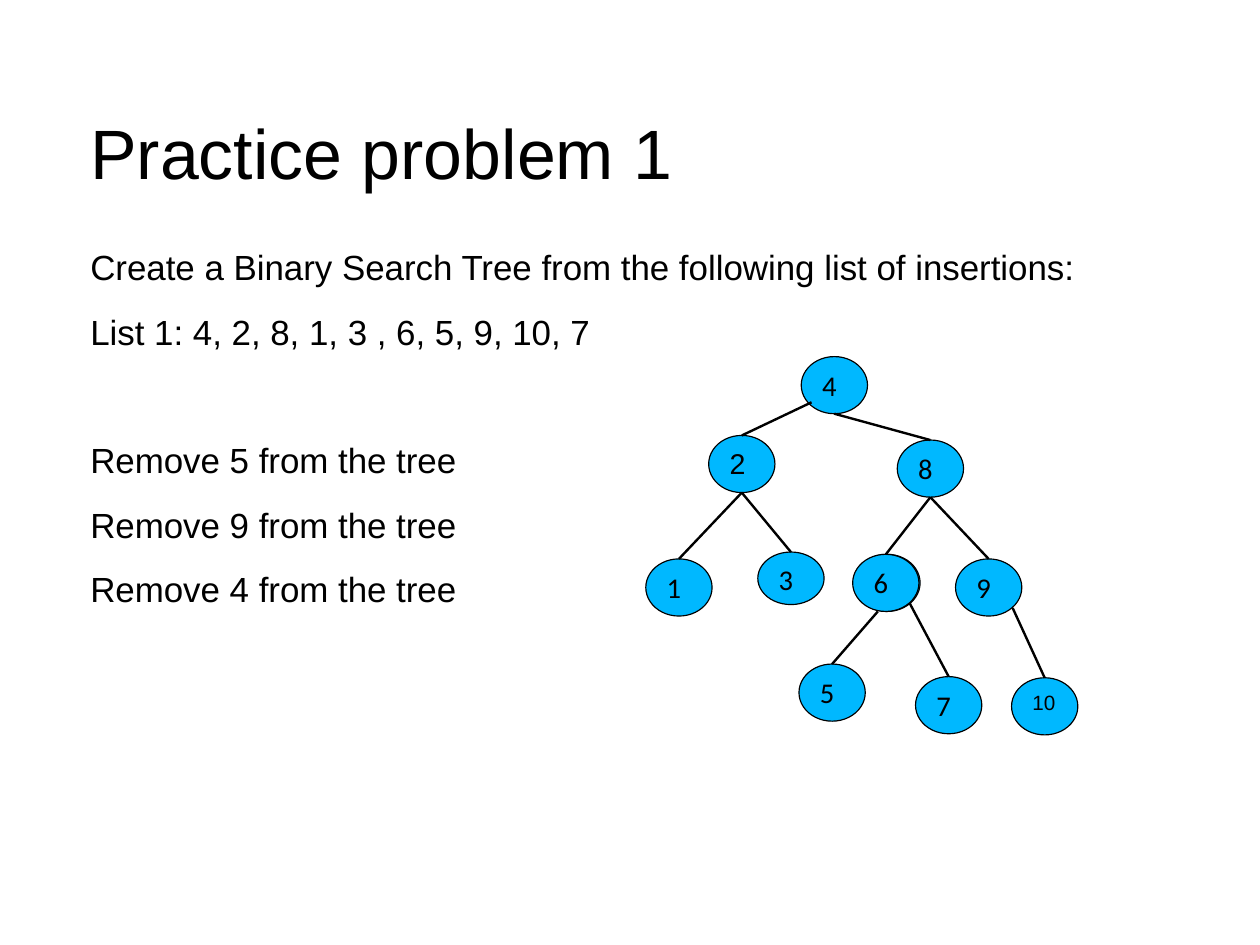
from lxml import etree
from pptx import Presentation
from pptx.dml.color import RGBColor
from pptx.enum.shapes import MSO_CONNECTOR, MSO_SHAPE
from pptx.enum.text import MSO_ANCHOR, PP_ALIGN
from pptx.oxml.ns import qn
from pptx.util import Inches, Pt

# Content
SLIDE_W, SLIDE_H = 28 / 2.54, 21 / 2.54  # 28 by 21 cm
TITLE = "Practice problem 1"
TASK = [  # text, space before in points
    ("Create a Binary Search Tree from the following list of insertions:", 0),
    ("List 1: 4, 2, 8, 1, 3 , 6, 5, 9, 10, 7", 0),
    ("Remove 5 from the tree", 40.6),
    ("Remove 9 from the tree", 0),
    ("Remove 4 from the tree", 0),
]
NODE_W, NODE_H = 0.58, 0.5
NODES = [  # value, left, top, height, font, size
    ("4", 7.01, 3.12, NODE_H, "Calibri", 18),
    ("9", 8.36, 4.89, NODE_H, "Calibri", 18),
    ("10", 8.85, 5.93, NODE_H, "Arial", 13),
    ("2", 6.2, 3.81, NODE_H, "Arial", 18),
    ("1", 5.65, 4.89, NODE_H, "Calibri", 18),
    ("3", 6.63, 4.83, 0.46, "Calibri", 18),
    ("6", 7.47, 4.85, NODE_H, "Calibri", 18),
    ("5", 6.99, 5.81, NODE_H, "Calibri", 18),
    ("8", 7.85, 3.85, NODE_H, "Calibri", 18),
    ("7", 8.01, 5.92, NODE_H, "Calibri", 18),
    ("6", 7.46, 4.85, NODE_H, "Calibri", 18),
]
# Where a branch leaves its parent, measured from the parent's centre
BOTTOM, LOWER_LEFT, LOWER_RIGHT = (0, 0.25), (-0.2, 0.15), (0.21, 0.18)
BRANCHES = [
    ("4", "8", BOTTOM), ("8", "9", BOTTOM), ("9", "10", LOWER_RIGHT),
    ("4", "2", LOWER_LEFT), ("2", "1", BOTTOM), ("2", "3", BOTTOM),
    ("8", "6", BOTTOM), ("6", "5", (-0.07, 0.25)), ("6", "7", LOWER_RIGHT),
]


def color(value):
    return RGBColor.from_string(value)


def style(paragraph, font, size):
    paragraph.alignment = PP_ALIGN.LEFT
    paragraph.font.name = font
    paragraph.font.size = Pt(size)
    paragraph.font.color.rgb = color("000000")


def set_frame(frame, top, anchor):
    frame.word_wrap = True
    frame.vertical_anchor = anchor
    frame.margin_left = frame.margin_right = frame.margin_bottom = 0
    frame.margin_top = Inches(top)


def add_node(slide, value, left, top, height, font, size):
    node = slide.shapes.add_shape(MSO_SHAPE.OVAL, Inches(left), Inches(top),
                                  Inches(NODE_W), Inches(height))
    node.shadow.inherit = False
    node.fill.solid()
    node.fill.fore_color.rgb = color("00B8FF")
    node.line.color.rgb = color("000000")
    node.line.width = Pt(0.75)
    node.text_frame.vertical_anchor = MSO_ANCHOR.TOP
    label = node.text_frame.paragraphs[0]
    label.text = value
    label.line_spacing = 0.93
    style(label, font, size)
    return node


def add_branch(slide, parent, child, offset):
    x = parent.left + parent.width // 2 + Inches(offset[0])
    y = parent.top + parent.height // 2 + Inches(offset[1])
    branch = slide.shapes.add_connector(MSO_CONNECTOR.STRAIGHT, x, y,
                                        child.left, child.top)
    branch.end_connect(child, 0)
    branch.line.color.rgb = color("000000")
    branch.line.width = Pt(1.5)
    etree.SubElement(branch._element.spPr, qn("a:effectLst"))


def main():
    deck = Presentation()
    deck.slide_width, deck.slide_height = Inches(SLIDE_W), Inches(SLIDE_H)
    slide = deck.slides.add_slide(deck.slide_layouts[5])

    # Title
    title = slide.shapes.title
    title.left, title.top = Inches(0.79), Inches(0.62)
    title.width, title.height = Inches(9.25), Inches(1.37)
    title.text = TITLE
    set_frame(title.text_frame, 0.04, MSO_ANCHOR.MIDDLE)
    style(title.text_frame.paragraphs[0], "Arial", 44)

    # Task
    task = slide.shapes.add_textbox(Inches(0.79), Inches(2.13),
                                    Inches(9.68), Inches(5.26)).text_frame
    set_frame(task, 0.02, MSO_ANCHOR.TOP)
    for i, (text, before) in enumerate(TASK):
        line = task.add_paragraph() if i else task.paragraphs[0]
        line.text = text
        if before:
            line.space_before = Pt(before)
        line.space_after = Pt(14.2)
        style(line, "Arial", 22)

    # Tree
    tree = {}
    for node in NODES:
        tree[node[0]] = add_node(slide, *node)
    for parent, child, offset in BRANCHES:
        add_branch(slide, tree[parent], tree[child], offset)

    deck.save("out.pptx")


if __name__ == "__main__":
    main()
